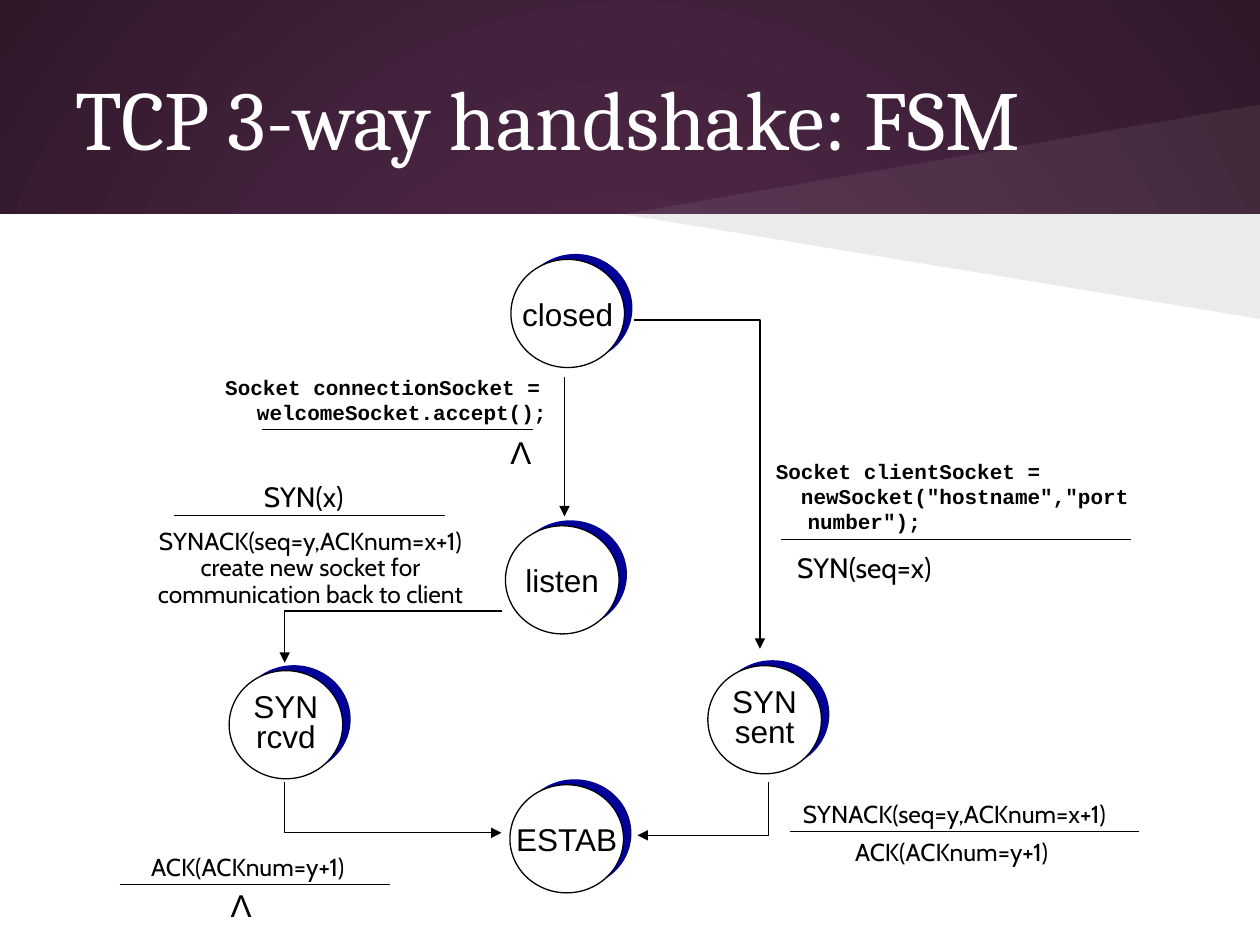
from dataclasses import dataclass

from pptx import Presentation
from pptx import util as u
from pptx.dml.color import RGBColor
from pptx.enum import shapes, text
from pptx.oxml import parse_xml
from pptx.oxml.ns import nsdecls, qn
from pptx.oxml.xmlchemy import OxmlElement


@dataclass(frozen=True)
class Style:
    font: str
    size: int
    bold: bool = False
    align: int = text.PP_ALIGN.CENTER
    spacing: float = 1.0
    wrap: bool = False
    hanging: float = 0


@dataclass(frozen=True)
class Theme:
    ink: RGBColor = RGBColor(0, 0, 0)
    paper: RGBColor = RGBColor(255, 255, 255)
    rim: RGBColor = RGBColor(0x00, 0x00, 0x99)
    glow: RGBColor = RGBColor(0x59, 0x2D, 0x50)
    dusk: RGBColor = RGBColor(0x30, 0x18, 0x2B)
    line: float = 0.75
    title: Style = Style("Cambria", 48, align=text.PP_ALIGN.LEFT, wrap=True)
    state: Style = Style("Arial", 18)
    stacked: Style = Style("Arial", 18, spacing=0.8)
    code: Style = Style("Courier New", 12, bold=True,
                        align=text.PP_ALIGN.LEFT, wrap=True, hanging=0.64)
    event: Style = Style("Cabin", 16)
    message: Style = Style("Cabin", 14, spacing=0.9)


THEME = Theme()
WIDTH, HEIGHT, BAND = 25.4, 19.05, 4.32
STATE_WIDTH, STATE_HEIGHT = 2.29, 2.18
RIM_SHIFT = (0.16, -0.11)

STATES = [  # left, top, label lines
    (10.3, 5.23, ["closed"]),
    (10.19, 10.6, ["listen"]),
    (4.62, 13.52, ["SYN", "rcvd"]),
    (14.27, 13.42, ["SYN", "sent"]),
    (10.28, 15.82, ["ESTAB"]),
]
ELBOWS = [
    [(12.78, 6.45), (15.32, 6.45), (15.32, 13.08)],
    [(10.13, 12.32), (5.74, 12.32), (5.74, 13.36)],
    [(5.74, 15.77), (5.74, 16.79), (10.11, 16.79)],
    [(15.49, 15.77), (15.49, 16.84), (12.85, 16.84)],
]
TRANSITIONS = [  # rule left, top, width; labels: box relative to rule, style, lines
    (15.75, 10.87, 7.04, [
        ((-0.36, -1.75, 8.03, 1.78), THEME.code,
         ["Socket clientSocket =", '  newSocket("hostname","port number");']),
        ((-0.08, 0.1, 3.51, 0.94), THEME.event, ["SYN(seq=x)"]),
    ]),
    (5.28, 8.66, 5.46, [
        ((-0.99, -1.24, 7.16, 1.27), THEME.code,
         ["Socket connectionSocket = welcomeSocket.accept();"]),
        ((4.75, -0.05, 0.94, 1.02), THEME.state, ["Λ"]),
    ]),
    (3.51, 10.39, 5.46, [
        ((1.49, -0.84, 2.24, 0.94), THEME.event, ["SYN(x)"]),
        ((-0.87, 0.15, 7.24, 1.75), THEME.message,
         ["SYNACK(seq=y,ACKnum=x+1)", "create new socket for",
          "communication back to client"]),
    ]),
    (15.93, 16.76, 7.04, [
        ((-0.31, -0.71, 7.24, 0.8), THEME.message, ["SYNACK(seq=y,ACKnum=x+1)"]),
        ((0.83, 0.05, 4.85, 0.8), THEME.message, ["ACK(ACKnum=y+1)"]),
    ]),
    (2.41, 17.83, 5.46, [
        ((0.16, -0.71, 4.85, 0.8), THEME.message, ["ACK(ACKnum=y+1)"]),
        ((1.98, -0.1, 0.94, 1.02), THEME.state, ["Λ"]),
    ]),
]


def cm(*lengths):
    return [u.Cm(length) for length in lengths]


def write(frame, lines, style, color=THEME.ink):
    frame.word_wrap = style.wrap
    for index, line in enumerate(lines):
        para = frame.paragraphs[0] if index == 0 else frame.add_paragraph()
        para.text = line
        para.alignment = style.align
        para.line_spacing = style.spacing
        if style.hanging:
            properties = para._p.get_or_add_pPr()
            properties.set("marL", str(u.Cm(style.hanging)))
            properties.set("indent", str(-u.Cm(style.hanging)))
        para.font.name = style.font
        para.font.size = u.Pt(style.size)
        para.font.bold = style.bold
        para.font.color.rgb = color


def paint(shape, fill, outline=None, opacity=None):
    shape.shadow.inherit = False
    shape.fill.solid()
    shape.fill.fore_color.rgb = fill
    if opacity is not None:
        alpha = OxmlElement("a:alpha")
        alpha.set("val", str(opacity * 1000))
        shape.element.spPr.find(".//" + qn("a:srgbClr")).append(alpha)
    if outline is None:
        shape.line.fill.background()
    else:
        shape.line.color.rgb = outline
        shape.line.width = u.Pt(THEME.line)


def polyline(page, points, close=False):
    corners = [cm(*point) for point in points]
    builder = page.shapes.build_freeform(*corners[0])
    builder.add_line_segments(corners[1:], close=close)
    return builder.convert_to_shape()


def ink_line(line, arrow):
    line.color.rgb = THEME.ink
    line.width = u.Pt(THEME.line)
    if arrow:
        tail = OxmlElement("a:tailEnd")
        tail.set("type", "triangle")
        line._get_or_add_ln().append(tail)


def straight(page, start, end, arrow=False):
    connector = page.shapes.add_connector(
        shapes.MSO_CONNECTOR.STRAIGHT, *cm(*start), *cm(*end))
    ink_line(connector.line, arrow)
    connector.element.spPr.append(OxmlElement("a:effectLst"))


def elbow(page, points):
    shape = polyline(page, points)
    shape.shadow.inherit = False
    shape.fill.background()
    ink_line(shape.line, arrow=True)


def backdrop(page):
    """Radial dark background, white body and two faint beams behind the title."""
    fill = page.background.fill
    fill.gradient()
    for stop, color in zip(fill.gradient_stops, (THEME.glow, THEME.dusk)):
        stop.color.rgb = color
    linear = page.element.find(".//" + qn("a:lin"))
    linear.getparent().replace(linear, parse_xml(
        f'<a:path {nsdecls("a")} path="circle">'
        '<a:fillToRect l="50000" t="50000" r="50000" b="50000"/></a:path>'))

    body = page.shapes.add_shape(shapes.MSO_SHAPE.RECTANGLE,
                                 *cm(0, BAND, WIDTH, HEIGHT - BAND))
    paint(body, THEME.paper)
    parts = [body]
    for edge, color, opacity in ((2.11, THEME.paper, 7), (6.43, THEME.ink, 8)):
        beam = polyline(page, [(WIDTH, BAND), (12.57, BAND), (WIDTH, edge)], close=True)
        paint(beam, color, opacity=opacity)
        parts.append(beam)
    for part in parts:
        page.shapes.title.element.addprevious(part.element)


def heading(page, box, words):
    title = page.shapes.title
    title.left, title.top, title.width, title.height = cm(*box)
    frame = title.text_frame
    frame.margin_left = frame.margin_right = u.Cm(0.25)
    frame.margin_top = frame.margin_bottom = u.Cm(0.25)
    frame.vertical_anchor = text.MSO_ANCHOR.MIDDLE
    write(frame, [words], THEME.title, THEME.paper)


def state(page, left, top, lines):
    group = page.shapes.add_group_shape()
    for (right, down), fill, outline in ((RIM_SHIFT, THEME.rim, None),
                                         ((0, 0), THEME.paper, THEME.ink)):
        disc = group.shapes.add_shape(
            shapes.MSO_SHAPE.OVAL,
            *cm(left + right, top + down, STATE_WIDTH, STATE_HEIGHT))
        paint(disc, fill, outline)
    write(disc.text_frame, lines, THEME.stacked if len(lines) > 1 else THEME.state)


def transition(page, left, top, width, labels):
    """A rule with the event above it and the action below."""
    straight(page, (left, top), (left + width, top))
    for (right, down, *size), style, lines in labels:
        box = page.shapes.add_textbox(*cm(left + right, top + down, *size))
        write(box.text_frame, lines, style)


def main():
    deck = Presentation()
    deck.slide_width, deck.slide_height = cm(WIDTH, HEIGHT)
    page = deck.slides.add_slide(deck.slide_layouts[5])
    backdrop(page)
    heading(page, (1.27, 0.76, 22.86, 3.18), "TCP 3-way handshake: FSM")
    for entry in STATES:
        state(page, *entry)
    straight(page, (11.38, 7.59), (11.38, 10.41), arrow=True)
    for points in ELBOWS:
        elbow(page, points)
    for entry in TRANSITIONS:
        transition(page, *entry)
    deck.save("out.pptx")


if __name__ == "__main__":
    main()
